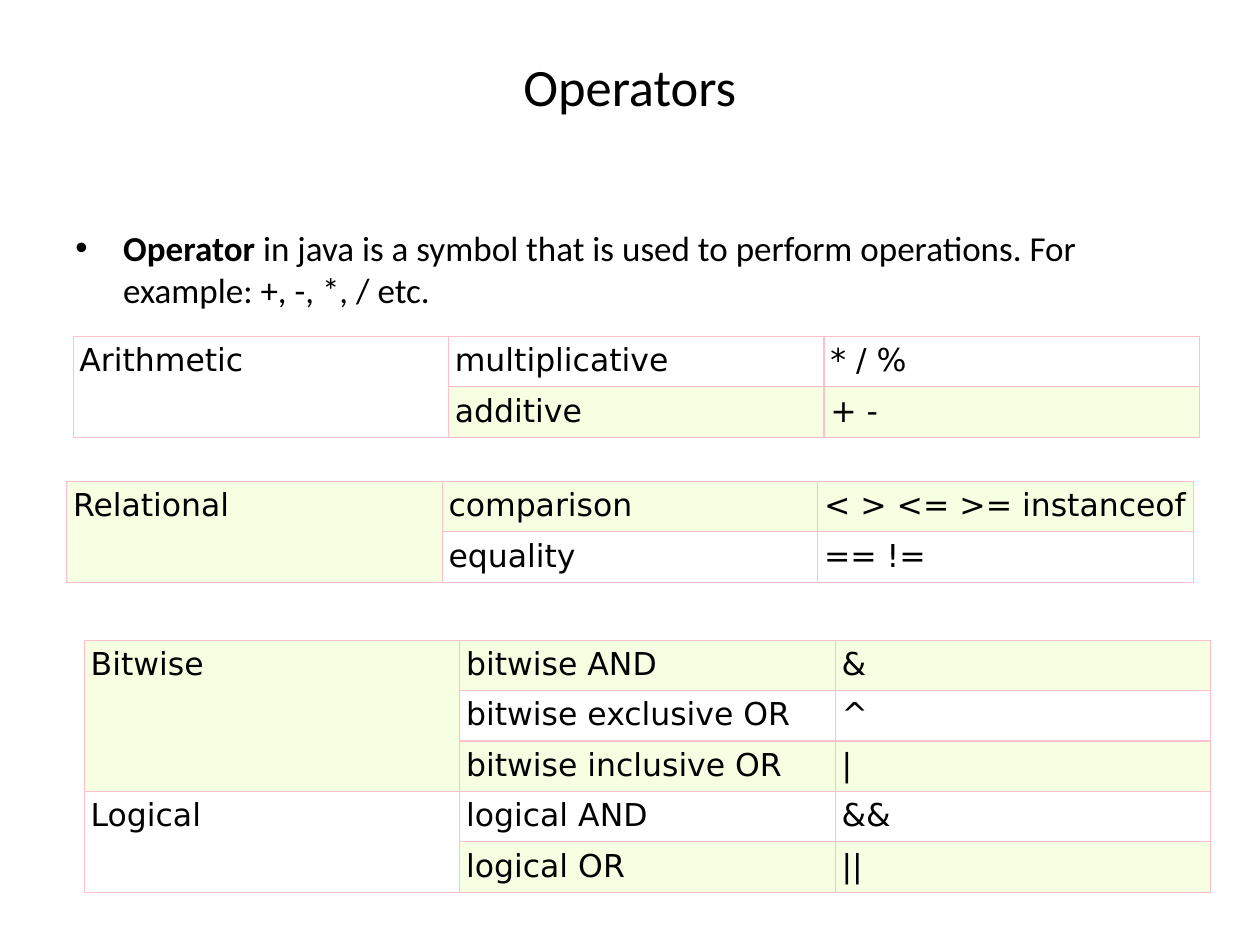
import pptx
import pptx.dml.color
import pptx.enum.text
import pptx.oxml
import pptx.oxml.ns
import pptx.util
from lxml import etree

Inches, Pt = pptx.util.Inches, pptx.util.Pt
RGBColor = pptx.dml.color.RGBColor
PP_ALIGN = pptx.enum.text.PP_ALIGN
qn = pptx.oxml.ns.qn

BLACK = RGBColor(0x00, 0x00, 0x00)
WHITE = RGBColor(0xFF, 0xFF, 0xFF)
PALE_GREEN = RGBColor(0xF6, 0xFF, 0xE1)
PINK = RGBColor(0xFF, 0xC0, 0xCB)

COLUMN_WIDTH = Inches(2.98)
ROW_HEIGHT = Inches(0.39)
CELL_MARGIN = Inches(0.05)

# Each table: left, top, fill of the first row, groups of (name, [(kind, symbols)]).
TABLES = [
    (0.58, 2.67, WHITE, [
        ("Arithmetic", [("multiplicative", "* / %"), ("additive", "+ -")])]),
    (0.53, 3.82, PALE_GREEN, [
        ("Relational", [("comparison", "< > <= >= instanceof"), ("equality", "== !=")])]),
    (0.67, 5.08, PALE_GREEN, [
        ("Bitwise", [("bitwise AND", "&"), ("bitwise exclusive OR", "^"),
                     ("bitwise inclusive OR", "|")]),
        ("Logical", [("logical AND", "&&"), ("logical OR", "||")])]),
]


def style_run(r, size, font):
    r.font.size = Pt(size)
    r.font.name = font
    r.font.color.rgb = BLACK


def add_text_frame(slide, left, top, width, height):
    tf = slide.shapes.add_textbox(left, top, width, height).text_frame
    tf.word_wrap = True
    return tf


def add_title(slide, left, top, width, height):
    """Centre the title, followed by an empty line of the same size."""
    tf = add_text_frame(slide, left, top, width, height)
    tf.vertical_anchor = pptx.enum.text.MSO_ANCHOR.MIDDLE
    p = tf.paragraphs[0]
    p.text = "Operators\v"
    p.alignment = PP_ALIGN.CENTER
    style_run(p.runs[0], 30, "Calibri")
    line_break = p._p.find(qn("a:br"))
    for parent, tag in ((line_break, "a:rPr"), (p._p, "a:endParaRPr")):
        props = etree.SubElement(parent, qn(tag), sz="3000")
        etree.SubElement(props, qn("a:latin"), typeface="Calibri")


def add_definition(slide, left, top, width, height):
    p = add_text_frame(slide, left, top, width, height).paragraphs[0]
    p.space_before = Pt(4)
    indent = Inches(0.38)
    pPr = p._p.get_or_add_pPr()
    pPr.set("marL", str(indent))
    pPr.set("indent", str(-indent))
    etree.SubElement(pPr, qn("a:buFont"), typeface="Arial")
    etree.SubElement(pPr, qn("a:buChar"), char="•")
    rest = "\u00a0in java is a symbol that is used to perform operations. For example: +, -, *, / etc."
    for text, bold in (("Operator", True), (rest, False)):
        r = p.add_run()
        r.text = text
        r.font.bold = bold
        style_run(r, 20, "Calibri")


def style_cell(cell, fill):
    cell.margin_left = cell.margin_right = CELL_MARGIN
    cell.margin_top = cell.margin_bottom = CELL_MARGIN
    tcPr = cell._tc.get_or_add_tcPr()
    for side in ("a:lnL", "a:lnR", "a:lnT", "a:lnB"):
        ln = etree.SubElement(tcPr, qn(side), w=str(Pt(0.75)))
        solid = etree.SubElement(ln, qn("a:solidFill"))
        etree.SubElement(solid, qn("a:srgbClr"), val=str(PINK))
    cell.fill.solid()
    cell.fill.fore_color.rgb = fill
    p = cell.text_frame.paragraphs[0]
    p.alignment = PP_ALIGN.JUSTIFY
    for r in p.runs:
        style_run(r, 18, "DejaVu Sans")


def add_operator_table(slide, left, top, first_fill, groups):
    """Draw banded rows, with each group's name merged down its rows."""
    count = sum(len(operators) for _, operators in groups)
    table = slide.shapes.add_table(
        count, 3, left, top, COLUMN_WIDTH * 3, ROW_HEIGHT * count).table
    table.first_row = table.horz_banding = False
    for column in table.columns:
        column.width = COLUMN_WIDTH
    for row in table.rows:
        row.height = ROW_HEIGHT

    other_fill = WHITE if first_fill == PALE_GREEN else PALE_GREEN
    fills = (first_fill, other_fill)
    start = 0
    for name, operators in groups:
        table.cell(start, 0).text = name
        for i, (kind, symbols) in enumerate(operators, start):
            table.cell(i, 1).text = kind
            table.cell(i, 2).text = symbols
            for j in range(3):
                band = start if j == 0 else i
                style_cell(table.cell(i, j), fills[band % 2])
        end = start + len(operators)
        table.cell(start, 0).merge(table.cell(end - 1, 0))
        start = end


def main():
    prs = pptx.Presentation()
    prs.slide_width, prs.slide_height = Inches(10), Inches(7.5)
    slide = prs.slides.add_slide(prs.slide_layouts[6])
    add_title(slide, Inches(0.5), Inches(0.3), Inches(9), Inches(1.25))
    add_definition(slide, Inches(0.5), Inches(1.75), Inches(9), Inches(4.95))
    for left, top, first_fill, groups in TABLES:
        add_operator_table(slide, Inches(left), Inches(top), first_fill, groups)
    prs.save("out.pptx")


if __name__ == "__main__":
    main()
